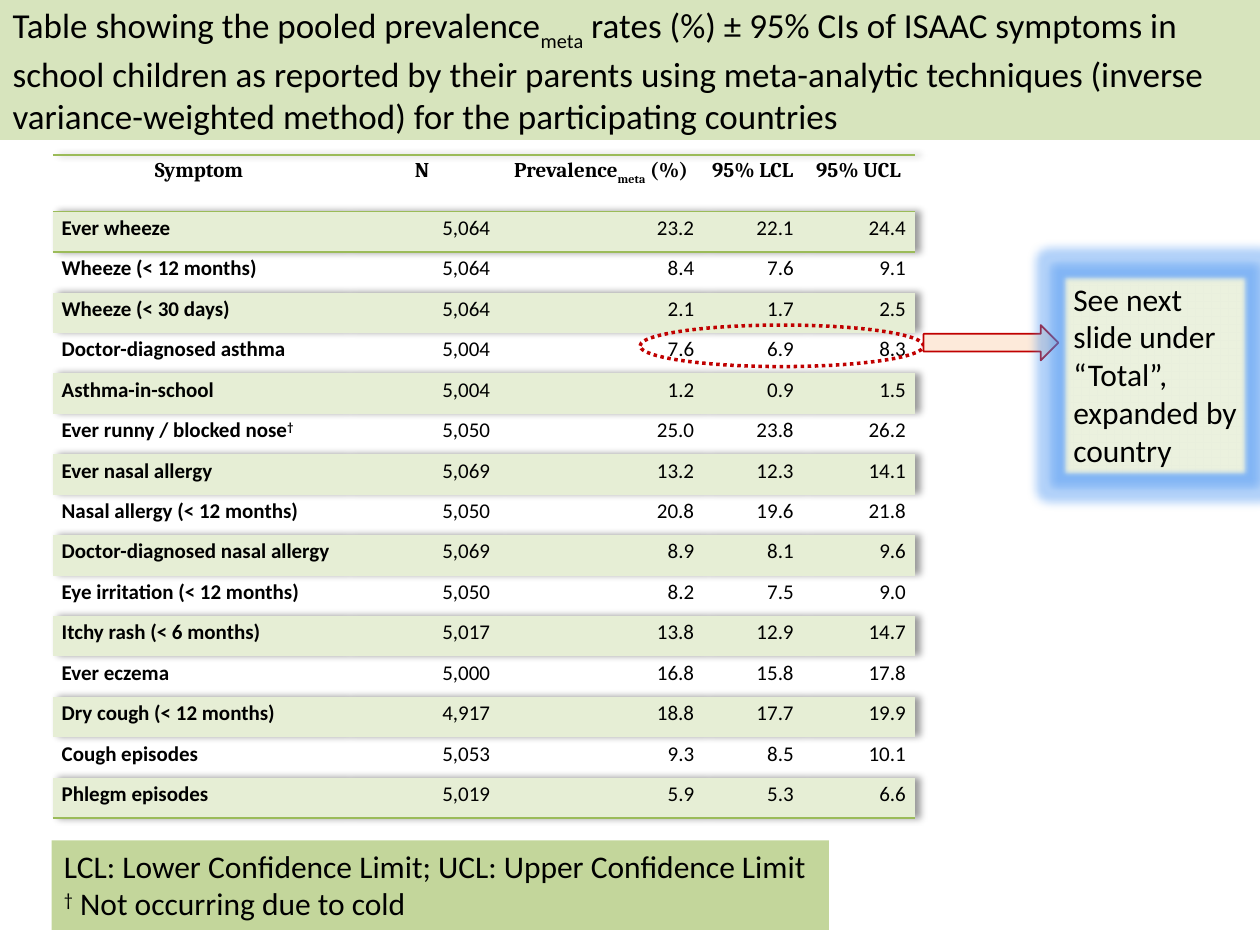
import pptx
import pptx.util
import pptx.oxml
import pptx.oxml.ns
import pptx.dml.color
import pptx.enum.dml
import pptx.enum.shapes
import pptx.enum.text

ALIGN = pptx.enum.text.PP_ALIGN
ANCHOR = pptx.enum.text.MSO_ANCHOR
SHAPE = pptx.enum.shapes.MSO_SHAPE
GREEN, BAND, RED = "9BBB59", "E6EED5", "C00000"
NO_STYLE = "{2D5ABB26-0587-4C30-8999-92F81FD0307C}"
SHADOW = ('<a:outerShdw blurRad="50800" dist="38100" algn="l" rotWithShape="0">'
          '<a:prstClr val="black"><a:alpha val="40000"/></a:prstClr></a:outerShdw>')
GLOW = ('<a:glow rad="139700"><a:srgbClr val="3C8CF0"><a:alpha val="40000"/></a:srgbClr></a:glow>'
        '<a:softEdge rad="31750"/>')

HEADER = ["Symptom", "N", [("Prevalence", 0), ("meta", -25), (" (%)", 0)], "95% LCL", "95% UCL"]
SYMPTOMS = [
    ("Ever wheeze", "5,064", "23.2", "22.1", "24.4"),
    ("Wheeze (< 12 months)", "5,064", "8.4", "7.6", "9.1"),
    ("Wheeze (< 30 days)", "5,064", "2.1", "1.7", "2.5"),
    ("Doctor-diagnosed asthma", "5,004", "7.6", "6.9", "8.3"),
    ("Asthma-in-school", "5,004", "1.2", "0.9", "1.5"),
    ([("Ever runny / blocked nose", 0), ("†", 30)], "5,050", "25.0", "23.8", "26.2"),
    ("Ever nasal allergy", "5,069", "13.2", "12.3", "14.1"),
    ("Nasal allergy (< 12 months)", "5,050", "20.8", "19.6", "21.8"),
    ("Doctor-diagnosed nasal allergy", "5,069", "8.9", "8.1", "9.6"),
    ("Eye irritation (< 12 months)", "5,050", "8.2", "7.5", "9.0"),
    ("Itchy rash (< 6 months)", "5,017", "13.8", "12.9", "14.7"),
    ("Ever eczema", "5,000", "16.8", "15.8", "17.8"),
    ("Dry cough (< 12 months)", "4,917", "18.8", "17.7", "19.9"),
    ("Cough episodes", "5,053", "9.3", "8.5", "10.1"),
    ("Phlegm episodes", "5,019", "5.9", "5.3", "6.6"),
]


def colour(hex_value):
    return pptx.dml.color.RGBColor.from_string(hex_value)


def xml(tag, inner="", attributes=""):
    return pptx.oxml.parse_xml(f'<a:{tag} {pptx.oxml.ns.nsdecls("a")} {attributes}>{inner}</a:{tag}>')


def apply(target, values):
    for name, value in values.items():
        setattr(target, name, value)


class SlideBuilder:
    COLUMNS, ROWS = 100, 75

    def __init__(self, deck):
        self.column = deck.slide_width / self.COLUMNS
        self.row = deck.slide_height / self.ROWS
        self.slide = deck.slides.add_slide(deck.slide_layouts[5])

    def place(self, left, top, width, height):
        return (round(left * self.column), round(top * self.row),
                round(width * self.column), round(height * self.row))

    def fill(self, target, hex_value):
        if hex_value is None:
            target.fill.background()
        else:
            target.fill.solid()
            target.fill.fore_color.rgb = colour(hex_value)

    def typeset(self, frame, paragraphs, size, align=ALIGN.LEFT, spacing=1.0, bold=False,
                font="Calibri", **frame_format):
        apply(frame, frame_format)
        for index, content in enumerate(paragraphs):
            paragraph = frame.add_paragraph() if index else frame.paragraphs[0]
            apply(paragraph, {"alignment": align, "line_spacing": spacing})
            for text, baseline in [(content, 0)] if isinstance(content, str) else content:
                run = paragraph.add_run()
                run.text = text
                apply(run.font, {"name": font, "size": pptx.util.Pt(size), "bold": bold})
                run.font.color.rgb = colour("000000")
                if baseline:
                    run.font._element.set("baseline", str(baseline * 1000))

    def title(self, area, content, fill):
        heading = self.slide.shapes.title
        apply(heading, dict(zip(("left", "top", "width", "height"), self.place(*area))))
        self.fill(heading, fill)
        self.typeset(heading.text_frame, [content], 20, word_wrap=True,
                     vertical_anchor=ANCHOR.MIDDLE,
                     auto_size=pptx.enum.text.MSO_AUTO_SIZE.NONE)

    def panel(self, area, paragraphs, fill, wrap=True, effect=None):
        panel = self.slide.shapes.add_textbox(*self.place(*area))
        self.fill(panel, fill)
        self.typeset(panel.text_frame, paragraphs, 18, word_wrap=wrap)
        if effect:
            panel._element.spPr.append(xml("effectLst", effect))

    def outline(self, kind, area, line, width, fill=None, dash=None):
        marker = self.slide.shapes.add_shape(kind, *self.place(*area))
        marker.shadow.inherit = False
        self.fill(marker, fill)
        marker.line.color.rgb = colour(line)
        apply(marker.line, {"width": pptx.util.Pt(width), "dash_style": dash})

    def rule(self, cell, sides):
        edge = f'<a:solidFill><a:srgbClr val="{GREEN}"/></a:solidFill>'
        for index, side in enumerate(sides):
            cell._tc.get_or_add_tcPr().insert(index, xml(f"ln{side}", edge, 'w="12700"'))

    def table(self, area, header, records, widths, heights):
        grid = self.slide.shapes.add_table(len(records) + 1, len(header), *self.place(*area)).table
        apply(grid, {"first_row": False, "horz_banding": False})
        properties = grid._tbl.tblPr
        properties.find(pptx.oxml.ns.qn("a:tableStyleId")).text = NO_STYLE
        properties.insert(0, xml("effectLst", SHADOW))
        for column, width in zip(grid.columns, widths):
            column.width = round(width * self.column)
        for row, height in zip(grid.rows, heights):
            row.height = round(height * self.row)
        inset = round(0.7 * self.column)
        margins = {"margin_left": inset, "margin_right": inset, "margin_top": 0, "margin_bottom": 0}
        for r, record in enumerate([header, *records]):
            sides = {0: "TB", 1: "T", len(records): "B"}.get(r, "")
            for c, content in enumerate(record):
                cell = grid.cell(r, c)
                apply(cell, margins)
                self.fill(cell, BAND if r % 2 else None)
                self.rule(cell, sides)
                align = ALIGN.CENTER if r == 0 else ALIGN.RIGHT if c else ALIGN.LEFT
                self.typeset(cell.text_frame, [content], 12, align, 1.15,
                             bold=r == 0 or c == 0, font="Calibri" if r else "Cambria")


def main():
    deck = pptx.Presentation()
    apply(deck, {"slide_width": pptx.util.Inches(10), "slide_height": pptx.util.Inches(7.5)})
    page = SlideBuilder(deck)
    page.title((0, 0, 100, 11.1), [
        ("Table showing the pooled prevalence", 0), ("meta", -30),
        (" rates (%) ± 95% CIs of ISAAC symptoms in school children as reported by their parents "
         "using meta-analytic techniques (inverse variance-weighted method) for the "
         "participating countries", 0)], "D7E4BD")
    page.table((4.2, 12.3, 68.4, 52.7), HEADER, SYMPTOMS,
               [23.2, 12.2, 16.2, 7.9, 8.9], [4.5] + [3.21] * len(SYMPTOMS))
    page.panel((4.1, 66.7, 61.7, 7.1), [
        "LCL: Lower Confidence Limit; UCL: Upper Confidence Limit",
        [("†", 30), (" Not occurring due to cold", 0)]], "C3D69B", wrap=False)
    page.outline(SHAPE.OVAL, (50.8, 25.8, 22.5, 3.3), RED, 2,
                 dash=pptx.enum.dml.MSO_LINE.ROUND_DOT)
    page.outline(SHAPE.RIGHT_ARROW, (73.3, 25.8, 10.7, 2.8), RED, 1, fill="FDEADA")
    page.panel((84.2, 21.7, 15, 16.2), ["See next slide under “Total”, expanded by country"],
               "EBF1DE", effect=GLOW)
    deck.save("out.pptx")


if __name__ == "__main__":
    main()
